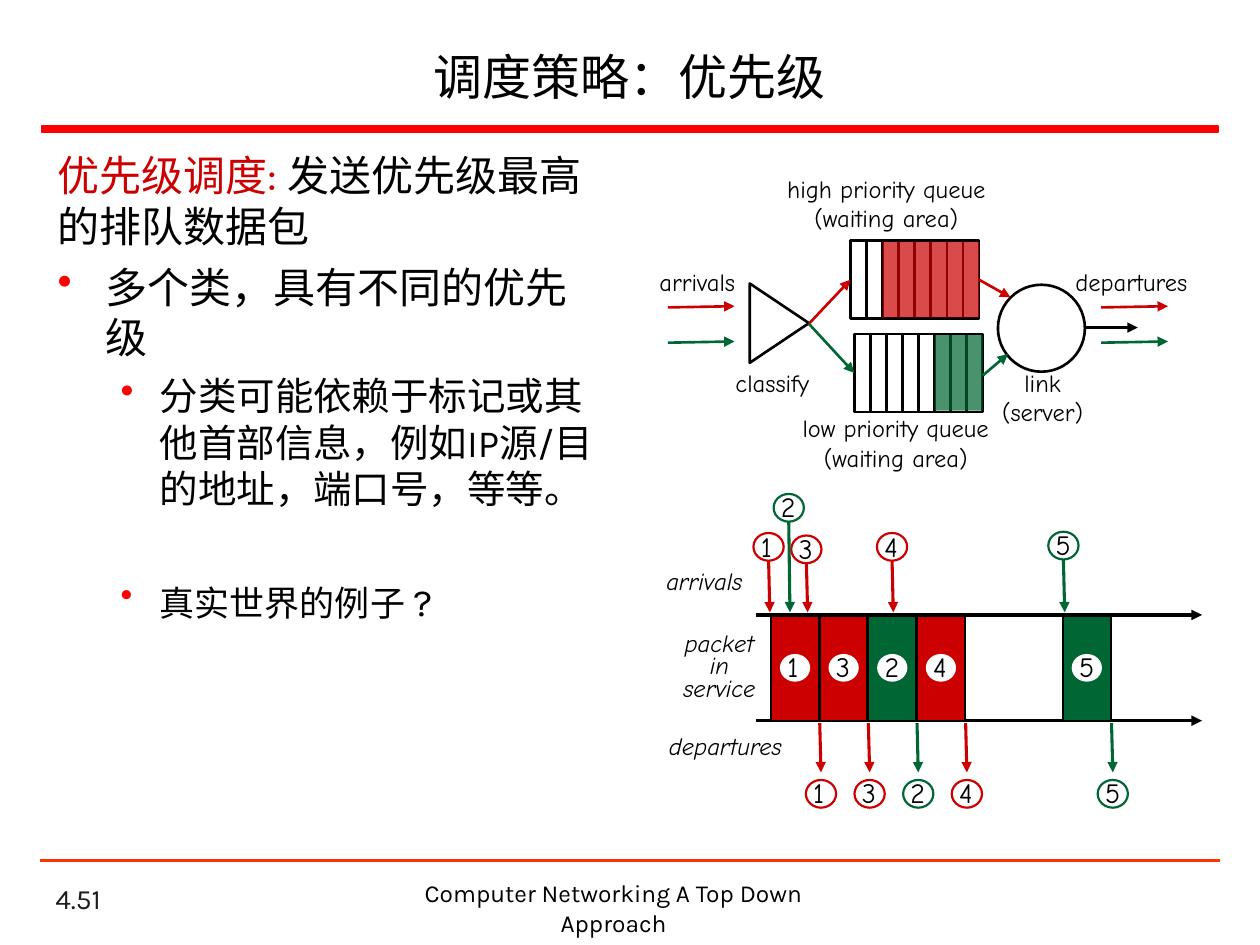
from lxml.etree import SubElement
from pptx import Presentation
from pptx.dml.color import RGBColor
from pptx.enum.shapes import MSO_CONNECTOR as Connector, MSO_SHAPE as Shape
from pptx.enum.text import MSO_ANCHOR as Anchor, PP_ALIGN as Align
from pptx.oxml.ns import qn
from pptx.util import Pt

PX = 9144
COLORS = {
    "ink": "000000", "page": "1C1C1C", "paper": "FFFFFF", "rule": "FF0000",
    "footer": "FF3300", "high": "CC0000", "low": "006633",
}
BODY_FONT, SKETCH_FONT = "Karla", "Comic Neue"


def rgb(color):
    """Return the named colour."""
    return RGBColor.from_string(COLORS[color])


def style(font, size, color="ink", face=SKETCH_FONT, italic=False):
    """Apply face, size and colour to a font."""
    font.name, font.size, font.italic = face, Pt(size), italic
    font.color.rgb = rgb(color)


class Region:
    """Draws parts at px offsets from its own corner."""

    def __init__(self, slide, left, top):
        self.shapes, self.left, self.top = slide.shapes, left, top

    def frame(self, x, y, width, height):
        """Turn a local box into slide EMU."""
        return [round(v * PX) for v in (self.left + x, self.top + y, width, height)]

    def shape(self, kind, box, fill=None, line=None, weight=1.5, alpha=None):
        """Add a preset shape with optional fill and outline."""
        part = self.shapes.add_shape(kind, *self.frame(*box))
        part.shadow.inherit = False
        if fill:
            part.fill.solid()
            part.fill.fore_color.rgb = rgb(fill)
        else:
            part.fill.background()
        if alpha:
            tint = part.fill._xPr.find(qn("a:solidFill"))[0]
            SubElement(tint, qn("a:alpha"), val=str(alpha * 1000))
        if line:
            part.line.color.rgb = rgb(line)
            part.line.width = Pt(weight)
        else:
            part.line.fill.background()
        return part

    def line(self, start, end, color="ink", weight=1.5, arrow=True):
        """Add a straight line, by default with an arrowhead at its end."""
        points = [*self.frame(*start, 0, 0)[:2], *self.frame(*end, 0, 0)[:2]]
        part = self.shapes.add_connector(Connector.STRAIGHT, *points)
        part.line.color.rgb = rgb(color)
        part.line.width = Pt(weight)
        if arrow:
            SubElement(part.line._ln, qn("a:tailEnd"), type="triangle")
        SubElement(part._element.spPr, qn("a:effectLst"))

    def label(self, text, box, size=14, align=Align.CENTER, wrap=False,
              anchor=Anchor.TOP, **look):
        """Add a text box in one style."""
        frame = self.shapes.add_textbox(*self.frame(*box)).text_frame
        frame.text, frame.word_wrap, frame.vertical_anchor = text, wrap, anchor
        for paragraph in frame.paragraphs:
            paragraph.alignment = align
            for run in paragraph.runs:
                style(run.font, size, **look)
        return frame

    def packet(self, number, x, y, line=None):
        """Add a numbered packet circle."""
        self.shape(Shape.OVAL, (x, y, 24, 22), "paper", line, 1.25)
        self.label(number, (x - 4, y - 8, 33, 37), 16, Align.LEFT)


def add_frame(slide, left, top):
    """Draw the title, both rules and the footer."""
    page = Region(slide, left, top)
    page.shape(Shape.RECTANGLE, (33, 100, 934, 5), "rule", "rule", 1)
    page.line((32, 683), (968, 683), "footer", arrow=False)
    page.label("调度策略：优先级", (37, 25, 925, 70), 28, wrap=True,
               anchor=Anchor.MIDDLE, face=BODY_FONT)
    page.label("4.51", (34, 698, 208, 33), 16, Align.LEFT, True, Anchor.BOTTOM,
               color="page", face=BODY_FONT)
    page.label("Computer Networking A Top Down Approach", (283, 692, 408, 34),
               wrap=True, face=BODY_FONT)


def add_explanation(slide, left, top):
    """Write the definition and its bullets."""
    points = [
        (0, 0, 0, [("优先级调度: ", 24, "high"), ("发送优先级最高的排队数据包", 24, "ink")]),
        (38, 38, 6, [("多个类，具有不同的优先级", 24, "ink")]),
        (81, 31, 6, [("分类可能依赖于标记或其他首部信息，例如IP源/目的地址，端口号，等等。",
                      22, "ink")]),
        (81, 31, 36, [("真实世界的例子 ", 20, "ink"), ("?", 22, "ink"), (" ", 24, "ink")]),
    ]
    frame = Region(slide, left, top).label("", (0, 0, 456, 560), wrap=True)
    for index, (margin, hanging, gap, pieces) in enumerate(points):
        paragraph = frame.add_paragraph() if index else frame.paragraphs[0]
        paragraph.alignment = Align.LEFT
        if margin:
            properties = paragraph._p.get_or_add_pPr()
            properties.set("marL", str(margin * PX))
            properties.set("indent", str(-hanging * PX))
            tint = SubElement(properties, qn("a:buClr"))
            SubElement(tint, qn("a:srgbClr"), val=COLORS["rule"])
            SubElement(properties, qn("a:buChar"), char="•")
            paragraph.space_before = Pt(gap)
        for text, size, color in pieces:
            run = paragraph.add_run()
            run.text = text
            style(run.font, size, color, BODY_FONT)


def add_queue(slide, left, top, waiting, color):
    """Draw an eight-slot queue with its last slots filled."""
    width, height, slots = 102, 62, 8
    queue = Region(slide, left, top)
    queue.shape(Shape.RECTANGLE, (0, 0, width, height), line="ink")
    for slot in range(1, slots):
        x = width * slot / slots
        queue.line((x, 1), (x, height), arrow=False)
    filled = width * waiting / slots
    queue.shape(Shape.RECTANGLE, (width - filled, 1, filled, 60), color, alpha=71)


def add_priority_model(slide, left, top):
    """Draw the classifier, two queues and the link."""
    model = Region(slide, left, top)
    add_queue(slide, left + 166, top + 132, 3, "low")
    add_queue(slide, left + 163, top + 58, 6, "high")
    model.shape(Shape.ISOSCELES_TRIANGLE, (75, 100, 63, 47), line="ink").rotation = 90
    model.shape(Shape.OVAL, (280, 93, 69, 69), line="ink")
    flows = [
        ((130, 124), (163, 89), "high"), ((130, 124), (166, 163), "low"),
        ((265, 89), (290, 103), "high"), ((268, 165), (288, 148), "low"),
        ((348, 127), (391, 127), "ink"),
    ]
    for x in (18, 362):
        flows += [((x, 111), (x + 53, 110), "high"), ((x, 139), (x + 53, 138), "low")]
    for flow in flows:
        model.line(*flow)
    for text, box in [
        ("high priority queue\n(waiting area)", (98, 0, 187, 57)),
        ("low priority queue\n(waiting area)", (112, 190, 174, 57)),
        ("arrivals", (0, 74, 83, 34)),
        ("classify", (58, 154, 86, 34)),
        ("departures", (329, 74, 114, 34)),
        ("link\n(server)", (269, 154, 93, 57)),
    ]:
        model.label(text, box)


def add_timeline(slide, left, top):
    """Draw packets arriving, being served and departing."""
    timeline = Region(slide, left, top)
    for y in (105, 189):
        timeline.line((81, y), (435, y), weight=2)
    schedule = [
        ("1", "high", 0, 79, 40), ("3", "high", 1, 109, 42), ("2", "low", 2, 95, 9),
        ("4", "high", 3, 177, 40), ("5", "low", 6, 313, 39),
    ]
    slot_width = 38.6
    for number, color, slot, x, y in schedule:
        start = 93 + slot * slot_width
        end = start + slot_width
        timeline.shape(Shape.RECTANGLE, (start, 106, 38, 83), color, "ink", 1.25)
        timeline.packet(number, start + 7, 136)
        timeline.line((x + 12, y + 22), (x + 13, 103), color, 1.75)
        timeline.packet(number, x, y, color)
        timeline.line((end, 191), (end + 1, 230), color, 1.75)
        timeline.packet(number, end - 11, 236, color)
    timeline.label("arrivals", (0, 61, 88, 34), align=Align.LEFT, italic=True)
    timeline.label("departures", (2, 192, 119, 34), align=Align.LEFT, italic=True)
    service = timeline.label("packet in service", (5, 116, 94, 65), wrap=True, italic=True)
    service.paragraphs[0].line_spacing = Pt(12.8)


def main():
    """Build and save the slide."""
    deck = Presentation()
    deck.slide_width, deck.slide_height = 1000 * PX, 750 * PX
    slide = deck.slides.add_slide(deck.slide_layouts[6])
    add_frame(slide, 0, 0)
    add_explanation(slide, 36, 114)
    add_priority_model(slide, 512, 133)
    add_timeline(slide, 519, 383)
    deck.save("out.pptx")


if __name__ == "__main__":
    main()
